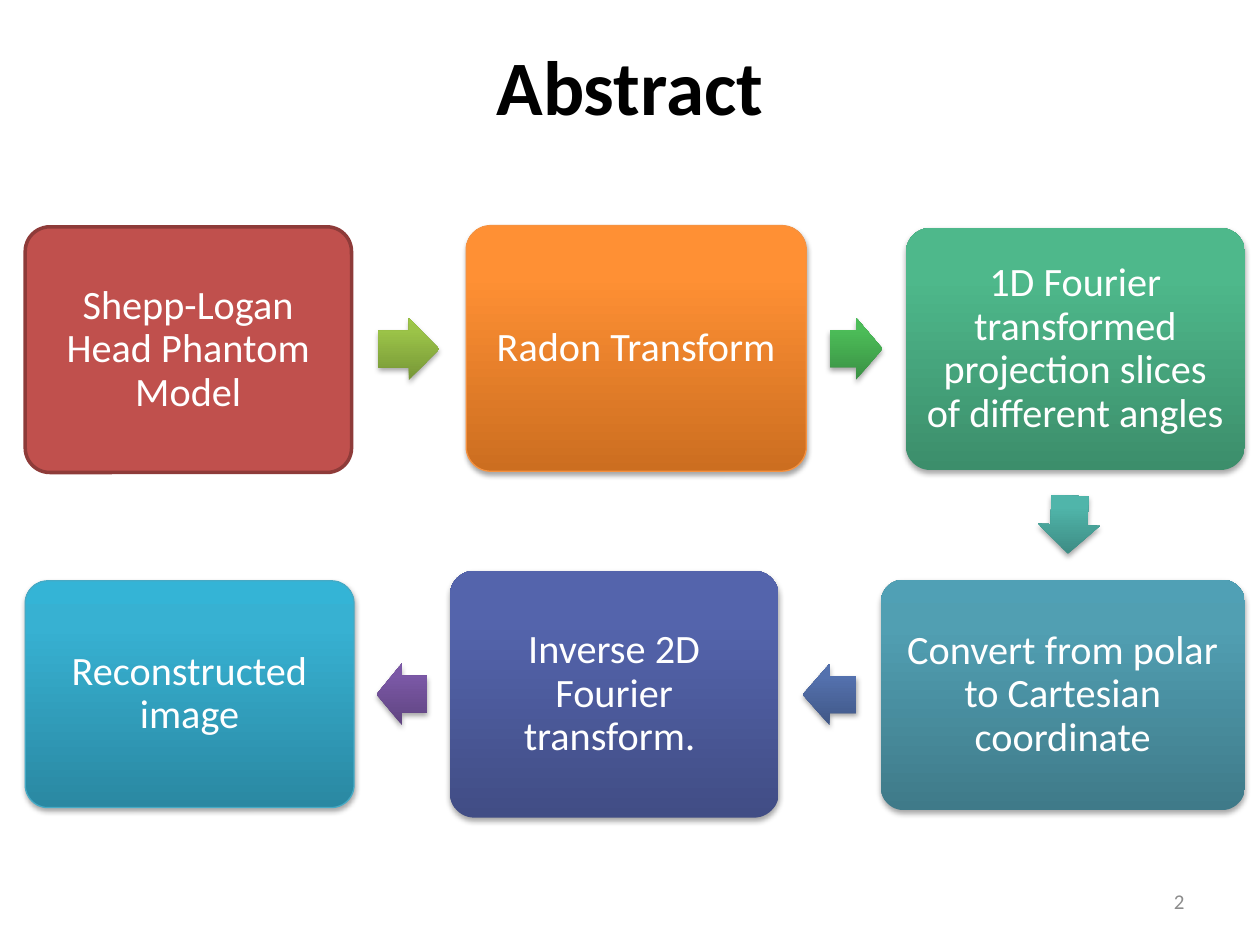
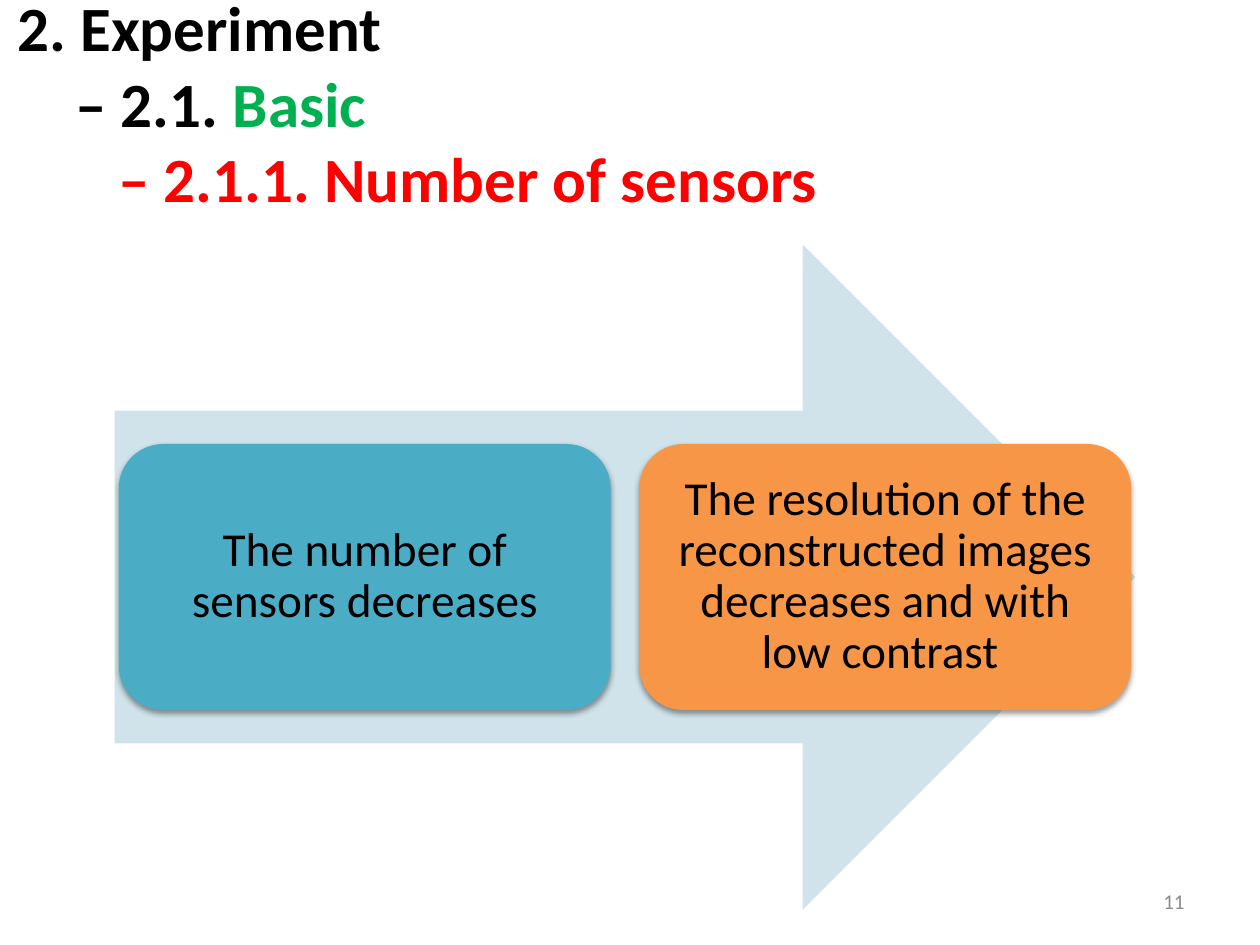
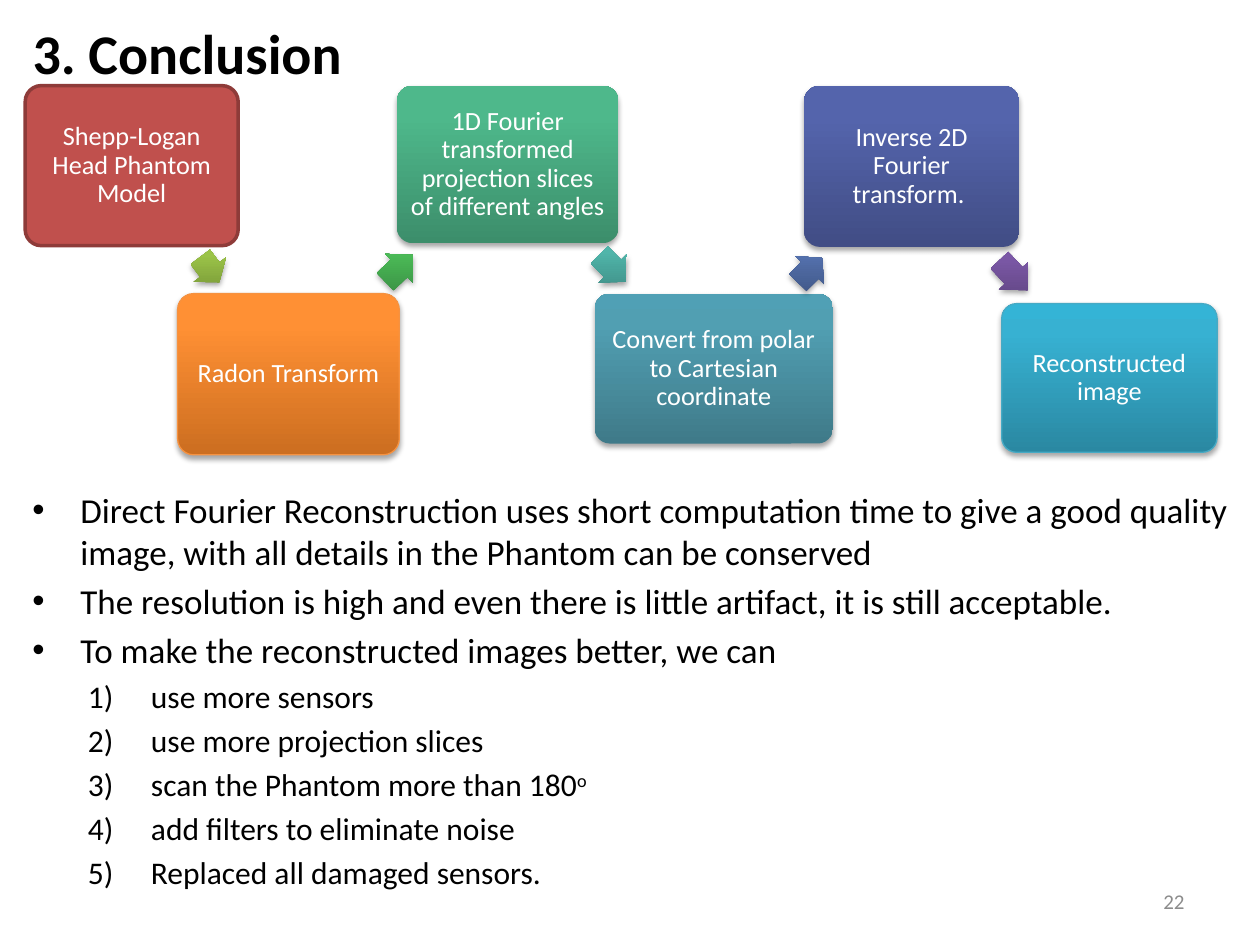
from copy import deepcopy
from math import atan2, degrees, hypot
from typing import NamedTuple

from lxml.etree import SubElement
from pptx import Presentation
from pptx.dml.color import RGBColor
from pptx.enum.shapes import MSO_SHAPE as Kind
from pptx.enum.text import MSO_ANCHOR as Anchor, PP_ALIGN as Align
from pptx.oxml.ns import qn
from pptx.util import Inches, Pt

COLS, ROWS = 100, 75
CELL = Inches(0.1)
FONT = "Calibri"

hue = RGBColor.from_string
BLACK, WHITE, GREY = hue("000000"), hue("FFFFFF"), hue("8C8C8C")
GREEN, RED = hue("00B050"), hue("FF0000")
PALE, TEAL, AMBER = hue("D0E3EA"), hue("4BACC6"), hue("F79646")
BRICK, MAROON = hue("C0504D"), hue("8E3B39")
RIM, SKY = hue("F69240"), hue("46AAC5")
ORANGE = hue("CC6E20"), hue("FF9034"), hue("FF9136")
JADE = hue("3C8E6B"), hue("4EB88B"), hue("4CBB8C")
SLATE = hue("3F7A89"), hue("519FB2"), hue("50A0B5")
NAVY = hue("414D85"), hue("5464AC"), hue("5363AF")
AZURE = hue("2A88A2"), hue("37B1D2"), hue("34B4D6")
ARROWS = [
    (hue("779737"), hue("9BC348"), hue("9DC746")),
    (hue("3A9144"), hue("4CBC58"), hue("4ABF57")),
    (hue("3D8B83"), hue("50B5AA"), hue("4EB8AC")),
    (hue("405786"), hue("5471AE"), hue("5271B0")),
    (hue("5F4480"), hue("7B58A6"), hue("7C57A8")),
]
# label, fill, edge colour, edge width
STEPS = [
    ("Shepp-Logan Head Phantom Model", BRICK, MAROON, 2),
    ("Radon Transform", ORANGE, RIM, 0.75),
    ("1D Fourier transformed projection slices of different angles", JADE, None, 0),
    ("Convert from polar to Cartesian coordinate", SLATE, None, 0),
    ("Inverse 2D Fourier transform. ", NAVY, None, 0),
    ("Reconstructed image", AZURE, SKY, 0.75),
]


class Box(NamedTuple):
    """A place on the grid, in columns and rows."""
    x: float
    y: float
    w: float
    h: float

    def mid(self):
        return self.x + self.w / 2, self.y + self.h / 2

    def emu(self):
        return [round(v * CELL) for v in self]

    def inner(self, x, y, w, h):
        """The box at the given shares of this one."""
        return Box(self.x + x * self.w, self.y + y * self.h, w * self.w, h * self.h)


def write(frame, text, size=18, color=BLACK, bold=False, align=Align.LEFT,
          join=False, left=0, hang=0, before=0, line=None, mark=None, lift=0):
    """Add a paragraph, or a run to the last one if join is set."""
    para = frame.paragraphs[-1]
    if para.runs and not join:
        para = frame.add_paragraph()
    if not join:
        para.alignment = align
        para.space_before = Pt(before)
        if line:
            para.line_spacing = line
        props = para._p.get_or_add_pPr()
        props.set("marL", str(Inches(left)))
        props.set("indent", str(-Inches(hang)))
        if mark == "•":
            SubElement(props, qn("a:buFont"), typeface="Arial")
            SubElement(props, qn("a:buChar"), char=mark)
        elif mark:
            SubElement(props, qn("a:buAutoNum"), type=mark)
    run = para.add_run()
    run.text = text
    font = run.font
    font.name, font.size, font.bold = FONT, Pt(size), bold
    font.color.rgb = color
    if lift:
        font._element.set("baseline", str(lift * 1000))


def area(slide, box, anchor=Anchor.MIDDLE):
    frame = slide.shapes.add_textbox(*box.emu()).text_frame
    frame.word_wrap = True
    frame.vertical_anchor = anchor
    return frame


def blend(shape, tones):
    """Fill from bottom to top, whichever way the shape is turned."""
    fill = shape.fill
    fill.gradient()
    fill.gradient_angle = 90
    node = shape._element.spPr.find(qn("a:gradFill"))
    node.set("rotWithShape", "0")
    stops = node.find(qn("a:gsLst"))
    stops.append(deepcopy(stops[-1]))
    for stop, place, tone in zip(fill.gradient_stops, (0, 0.8, 1), tones):
        stop.position = place
        stop.color.rgb = tone


def shade(shape, alpha, dist):
    glow = SubElement(
        shape._element.spPr.find(qn("a:effectLst")), qn("a:outerShdw"),
        blurRad=str(Pt(3.1)), dist=str(Pt(dist)), dir="5400000", rotWithShape="0")
    tone = SubElement(glow, qn("a:srgbClr"), val=str(BLACK))
    SubElement(tone, qn("a:alpha"), val=str(alpha * 1000))


def draw(slide, kind, box, fill, edge=None, width=0, adj=(), shadow=None):
    shape = slide.shapes.add_shape(kind, *box.emu())
    shape.shadow.inherit = False
    for i, value in enumerate(adj):
        shape.adjustments[i] = value
    if isinstance(fill, RGBColor):
        shape.fill.solid()
        shape.fill.fore_color.rgb = fill
    else:
        blend(shape, fill)
    if edge:
        shape.line.color.rgb = edge
        shape.line.width = Pt(width)
    else:
        shape.line.fill.background()
    if shadow:
        shade(shape, *shadow)
    return shape


def card(slide, box, label, size, inset, color, fill, **look):
    shape = draw(slide, Kind.ROUNDED_RECTANGLE, box, fill, **look)
    frame = shape.text_frame
    frame.word_wrap = True
    frame.vertical_anchor = Anchor.MIDDLE
    frame.margin_left = frame.margin_right = Inches(inset)
    frame.margin_top = frame.margin_bottom = Inches(inset)
    write(frame, label, size=size, color=color, align=Align.CENTER, line=0.9)


def link(slide, start, end, thick, tones):
    """Centre an arrow in the gap between two cards, aimed from one to the other."""
    (ax, ay), (bx, by) = start.mid(), end.mid()
    dx, dy = bx - ax, by - ay

    def reach(box):
        """Share of the centre line that lies inside the box."""
        return min(half / abs(d) for half, d in ((box.w / 2, dx), (box.h / 2, dy)) if d)

    out, into = reach(start), 1 - reach(end)
    mid = (out + into) / 2
    long = 0.53 * (into - out) * hypot(dx, dy)
    box = Box(ax + mid * dx - long / 2, ay + mid * dy - thick / 2, long, thick)
    arrow = draw(slide, Kind.RIGHT_ARROW, box, tones, adj=(0.6, 0.5), shadow=(35, 1.8))
    turn = degrees(atan2(dy, dx))
    # Cards of one row may differ slightly in height; their arrows stay level.
    arrow.rotation = (round(turn / 180) * 180 if abs(dy) < 1 else turn) % 360


def flow(slide, boxes, size, inset, thick):
    """Lay out the steps in the given boxes and join each to the next."""
    for i, (label, fill, edge, width) in enumerate(STEPS):
        card(slide, boxes[i], label, size, inset, WHITE, fill, edge=edge, width=width,
             adj=(0.1,), shadow=None if i == 0 else (35, 1.8))
        if i < len(ARROWS):
            link(slide, boxes[i], boxes[i + 1], thick, ARROWS[i])


def number(slide, page):
    write(area(slide, Box(71.7, 69.5, 23.3, 4)), str(page), size=12, color=GREY,
          align=Align.RIGHT)


def abstract(slide):
    write(area(slide, Box(5, 0.5, 90, 12.5)), "Abstract", size=44, bold=True,
          align=Align.CENTER)
    boxes = [
        Box(2, 18, 25.9, 19.5), Box(37, 17.9, 27, 19.5), Box(71.9, 18.1, 26.9, 19.2),
        Box(69.9, 46, 28.9, 18.3), Box(35.7, 45.3, 26.1, 19.6), Box(2, 46.1, 26.1, 18),
    ]
    flow(slide, boxes, size=23, inset=0.1, thick=4.9)


def trial(slide):
    head = area(slide, Box(0.4, 0, 97.6, 16.2))
    style = dict(size=36, bold=True)
    write(head, "2. Experiment", **style)
    write(head, "– 2.1. ", left=0.46, **style)
    write(head, "Basic", color=GREEN, join=True, **style)
    write(head, "– 2.1.1. Number of sensors", color=RED, left=0.8, **style)

    arrow = Box(9.1, 19.4, 81, 52.8)
    draw(slide, Kind.RIGHT_ARROW, arrow, PALE)
    facts = [
        ("The number of sensors decreases", TEAL),
        ("The resolution of the reconstructed images decreases and with low contrast ",
         AMBER),
    ]
    for i, (fact, fill) in enumerate(facts):
        box = arrow.inner(0.004 + 0.51 * i, 0.3, 0.482, 0.4)
        card(slide, box, fact, 27, 0.11, BLACK, fill, shadow=(38, 1.6))


def ending(slide):
    write(area(slide, Box(1.6, 0.2, 27.2, 7.9)), "3. Conclusion", size=32, bold=True)
    body = area(slide, Box(1.6, 38.3, 98, 34.6), Anchor.TOP)
    for point in (
        "Direct Fourier Reconstruction uses short computation time to give a good "
        "quality image, with all details in the Phantom can be conserved",
        "The resolution is high and even there is little artifact, it is still acceptable.",
        "To make the reconstructed images better, we can",
    ):
        write(body, point, size=20, left=0.38, hang=0.38, before=4, mark="•")
    for tip in ("use more sensors", "use more projection slices",
                "scan the Phantom more than 180", "add filters to eliminate noise",
                "Replaced all damaged sensors."):
        write(body, tip, left=0.94, hang=0.5, before=3.6, mark="arabicParenR")
        if tip.endswith("180"):
            write(body, "o", join=True, lift=30)
    boxes = [
        Box(2, 6.8, 16.9, 12.7), Box(14.1, 23.3, 17.6, 12.8), Box(31.5, 6.8, 17.6, 12.5),
        Box(47.2, 23.3, 18.9, 11.9), Box(63.8, 6.8, 17.1, 12.8), Box(79.5, 24.1, 17.1, 11.8),
    ]
    flow(slide, boxes, size=15, inset=0.06, thick=3.2)


def main():
    deck = Presentation()
    deck.slide_width, deck.slide_height = COLS * CELL, ROWS * CELL
    for page, build in ((2, abstract), (11, trial), (22, ending)):
        slide = deck.slides.add_slide(deck.slide_layouts[6])
        build(slide)
        number(slide, page)
    deck.save("out.pptx")


if __name__ == "__main__":
    main()
